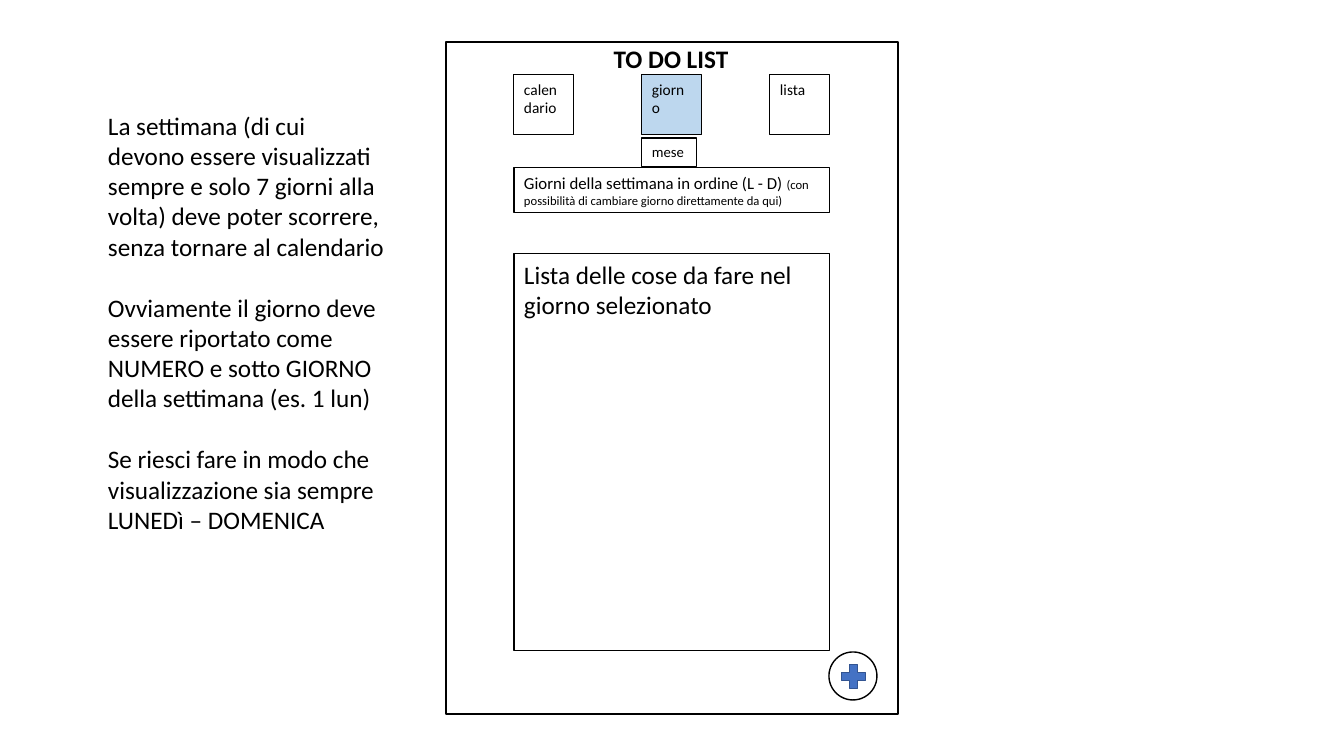
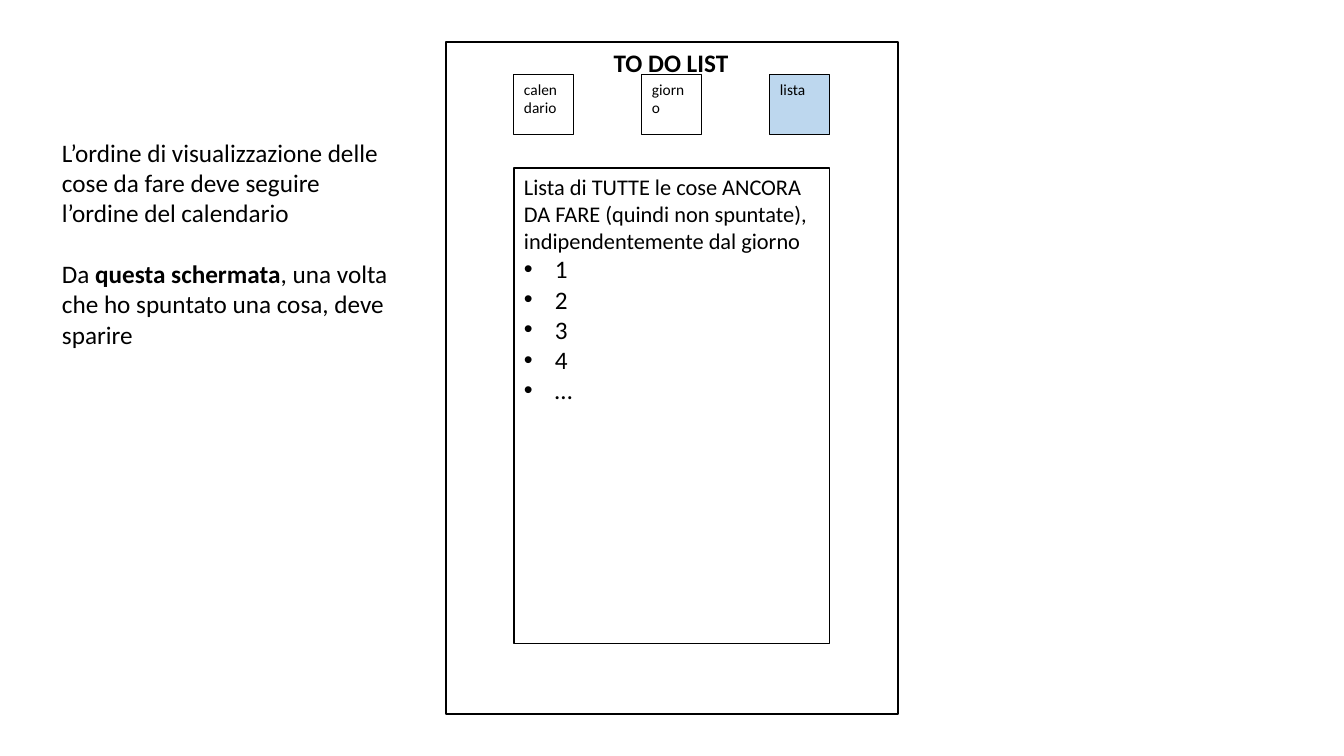
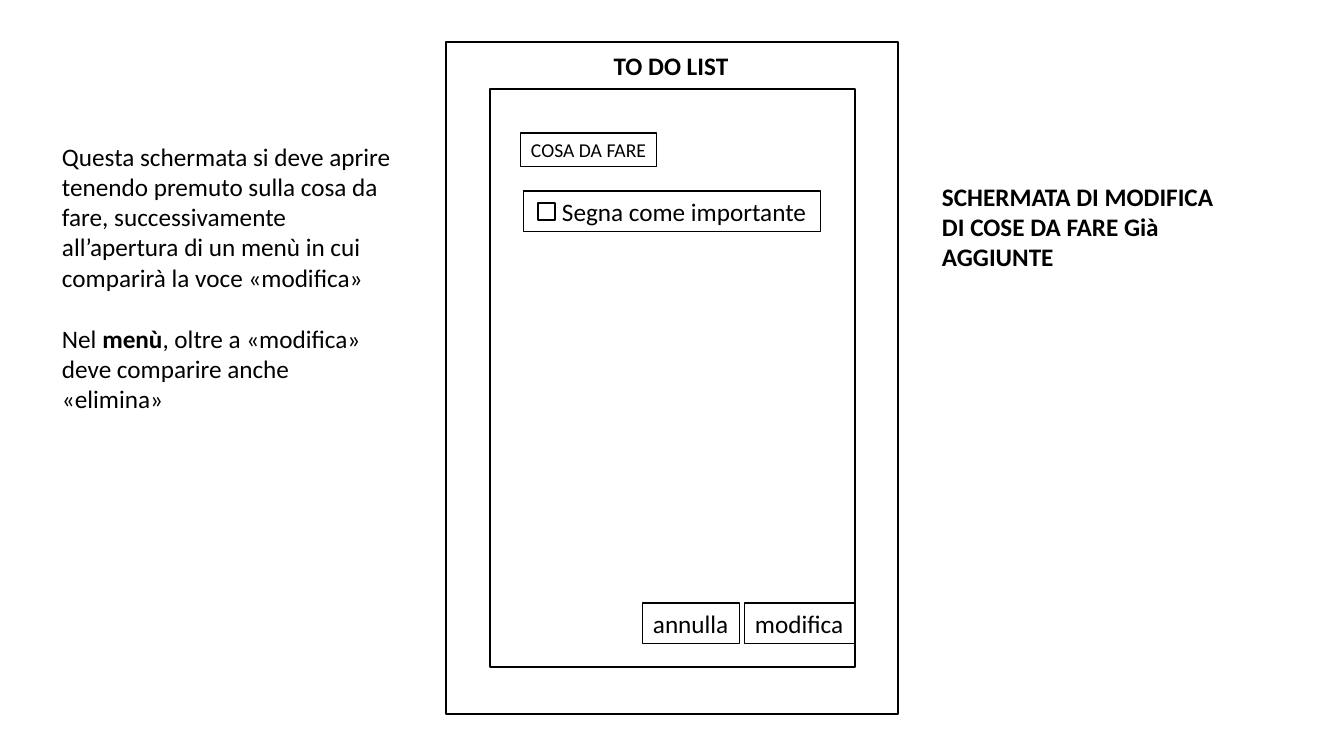
from collections import namedtuple

from lxml.etree import SubElement
from pptx import Presentation
from pptx.dml.color import RGBColor
from pptx.enum.shapes import MSO_SHAPE as Preset
from pptx.enum.text import MSO_ANCHOR as Anchor, MSO_AUTO_SIZE as AutoSize, PP_ALIGN as Align
from pptx.oxml.ns import qn
from pptx.util import Emu, Pt

# Shared style
BLACK = RGBColor(0x00, 0x00, 0x00)
SELECTED = RGBColor(0xBD, 0xD7, 0xEE)
PLUS_FILL = RGBColor(0x44, 0x72, 0xC4)
PLUS_LINE = RGBColor(0x32, 0x54, 0x91)
FONT = "Calibri"
THIN, THICK = 0.75, 1
PARAGRAPH_GAP = 22
INSET_X, INSET_Y = 10, 5
TITLE_ONLY, TITLE_AND_BODY = 5, 1

# Lengths are in pixels, 100.8 to the inch
EMU_PER_PIXEL = 914400 / 100.8
Box = namedtuple("Box", "left top width height")
PHONE = Box(446, 42, 452, 672)
TABS = ("calendario", "giorno", "lista")


def px(length):
    return Emu(round(length * EMU_PER_PIXEL))


def inside(box, left, top, width, height):
    return Box(box.left + left, box.top + top, width, height)


def place(shape, box):
    shape.left, shape.top, shape.width, shape.height = map(px, box)


# Text: a paragraph is a list of (text, size, bold) runs
def plain(text, size=18, bold=False):
    return [(text, size, bold)]


def fill_paragraph(paragraph, runs, align=Align.LEFT):
    paragraph.alignment = align
    for text, size, bold in runs:
        run = paragraph.add_run()
        run.text = text
        run.font.name = FONT
        run.font.size = Pt(size)
        run.font.bold = bold
        run.font.color.rgb = BLACK


def write(shape, paragraphs, wrap=True, gap=0, align=Align.LEFT, inset=INSET_X):
    frame = shape.text_frame
    frame.word_wrap = wrap
    frame.auto_size = AutoSize.NONE
    frame.vertical_anchor = Anchor.TOP
    frame.margin_left, frame.margin_right = px(inset), px(INSET_X)
    frame.margin_top = frame.margin_bottom = px(INSET_Y)
    for index, runs in enumerate(paragraphs):
        paragraph = frame.add_paragraph() if index else frame.paragraphs[0]
        paragraph.space_before = Pt(gap if index else 0)
        fill_paragraph(paragraph, runs, align)


def set_bullet(paragraph, character=None, indent=0):
    properties = paragraph._p.get_or_add_pPr()
    properties.set("marL", str(px(indent)))
    properties.set("indent", str(-px(indent)))
    if character:
        SubElement(properties, qn("a:buFont")).set("typeface", "Arial")
        SubElement(properties, qn("a:buChar")).set("char", character)
    else:
        SubElement(properties, qn("a:buNone"))


# Basic parts
def add_outline(slide, box, preset=Preset.RECTANGLE, width=THICK, fill=None, line=BLACK):
    shape = slide.shapes.add_shape(preset, *map(px, box))
    shape.shadow.inherit = False
    if fill is None:
        shape.fill.background()
    else:
        shape.fill.solid()
        shape.fill.fore_color.rgb = fill
    shape.line.color.rgb = line
    shape.line.width = Pt(width)
    return shape


def add_label(slide, box, runs, fill=None, **text_options):
    write(add_outline(slide, box, width=THIN, fill=fill), [runs], **text_options)


def add_note(slide, box, paragraphs):
    write(slide.shapes.add_textbox(*map(px, box)), paragraphs, gap=PARAGRAPH_GAP)


# Phone screen with its title
def add_screen(presentation, title_offset, layout=TITLE_ONLY):
    slide = presentation.slides.add_slide(presentation.slide_layouts[layout])
    add_outline(slide, PHONE)
    title = slide.shapes.title
    place(title, inside(PHONE, 157, title_offset, 136, 40))
    write(title, [plain("TO DO LIST", bold=True)], wrap=False, align=Align.CENTER)
    return slide


def add_tabs(slide, box, selected):
    size = box.height
    step = (box.width - size) / (len(TABS) - 1)
    for index, name in enumerate(TABS):
        tab = inside(box, index * step, 0, size, size)
        add_label(slide, tab, plain(name, 11), SELECTED if name == selected else None)


def add_plus_button(slide, box):
    add_outline(slide, box, Preset.OVAL)
    add_outline(slide, inside(box, 8, 8, 33, 33), Preset.MATH_PLUS,
                fill=PLUS_FILL, line=PLUS_LINE)


def add_task_list(slide, box, heading, items):
    body = slide.placeholders[1]
    place(body, box)
    body.line.color.rgb = BLACK
    body.line.width = Pt(THIN)
    write(body, [plain(heading, 16)] + [plain(item) for item in items])
    for index, paragraph in enumerate(body.text_frame.paragraphs):
        if index:
            set_bullet(paragraph, "•", 31)
        else:
            set_bullet(paragraph)


def add_edit_panel(slide, box):
    add_outline(slide, box)
    add_label(slide, inside(box, 31, 44, 136, 34), plain("COSA DA FARE", 14), wrap=False)
    option = inside(box, 34, 102, 297, 41)
    add_label(slide, option, plain("Segna come importante"), wrap=False, inset=38)
    add_outline(slide, inside(option, 14, 12, 17, 17))
    for name, left, width in (("annulla", 153, 97), ("modifica", 255, 110)):
        add_label(slide, inside(box, left, 514, width, 41), plain(name), wrap=False)


# Slides
def build_day(presentation):
    slide = add_screen(presentation, -4)
    add_tabs(slide, inside(PHONE, 68, 33, 316, 60), "giorno")
    add_label(slide, inside(PHONE, 196, 96, 55, 29), plain("mese", 10.5), wrap=False)
    add_label(slide, inside(PHONE, 68, 126, 316, 45),
              plain("Giorni della settimana in ordine (L - D) ", 12)
              + plain("(con possibilità di cambiare giorno direttamente da qui)", 9))
    add_label(slide, inside(PHONE, 68, 212, 316, 397),
              plain("Lista delle cose da fare nel giorno selezionato"))
    add_plus_button(slide, inside(PHONE, 383, 610, 48, 48))
    add_note(slide, Box(98, 105, 299, 437), [
        plain("La settimana (di cui devono essere visualizzati sempre e solo 7 giorni "
              "alla volta) deve poter scorrere, senza tornare al calendario"),
        plain("Ovviamente il giorno deve essere riportato come NUMERO e sotto GIORNO "
              "della settimana (es. 1 lun)"),
        plain("Se riesci fare in modo che visualizzazione sia sempre LUNEDì – DOMENICA"),
    ])


def build_list(presentation):
    slide = add_screen(presentation, 0, TITLE_AND_BODY)
    add_tabs(slide, inside(PHONE, 68, 33, 316, 60), "lista")
    add_task_list(slide, inside(PHONE, 68, 126, 316, 476),
                  "Lista di TUTTE le cose ANCORA DA FARE (quindi non spuntate), "
                  "indipendentemente dal giorno", "1234…")
    add_note(slide, Box(52, 132, 357, 224), [
        plain("L’ordine di visualizzazione delle cose da fare deve seguire "
              "l’ordine del calendario"),
        plain("Da ") + plain("questa schermata", bold=True)
        + plain(", una volta che ho spuntato una cosa, deve sparire"),
    ])


def build_edit(presentation):
    slide = add_screen(presentation, 3)
    add_edit_panel(slide, inside(PHONE, 44, 47, 365, 578))
    add_note(slide, Box(52, 136, 351, 285), [
        plain("Questa schermata si deve aprire tenendo premuto sulla cosa da fare, "
              "successivamente all’apertura di un menù in cui comparirà la voce «modifica»"),
        plain("Nel ") + plain("menù", bold=True)
        + plain(", oltre a «modifica» deve comparire anche «elimina»"),
    ])
    add_note(slide, Box(932, 176, 303, 102), [
        plain("SCHERMATA DI MODIFICA DI COSE DA FARE Già AGGIUNTE", bold=True)])


def main():
    presentation = Presentation()
    presentation.slide_width, presentation.slide_height = px(1344), px(756)
    for build in (build_day, build_list, build_edit):
        build(presentation)
    presentation.save("out.pptx")


main()
